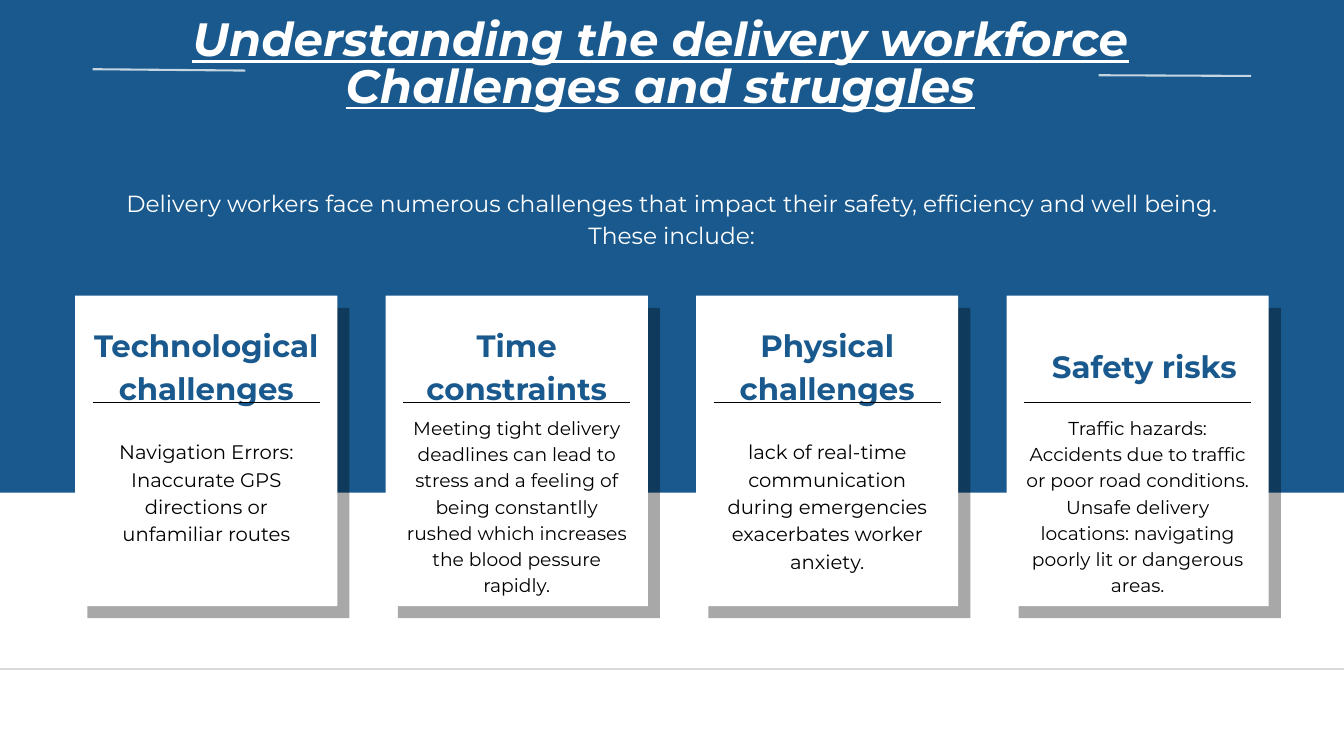
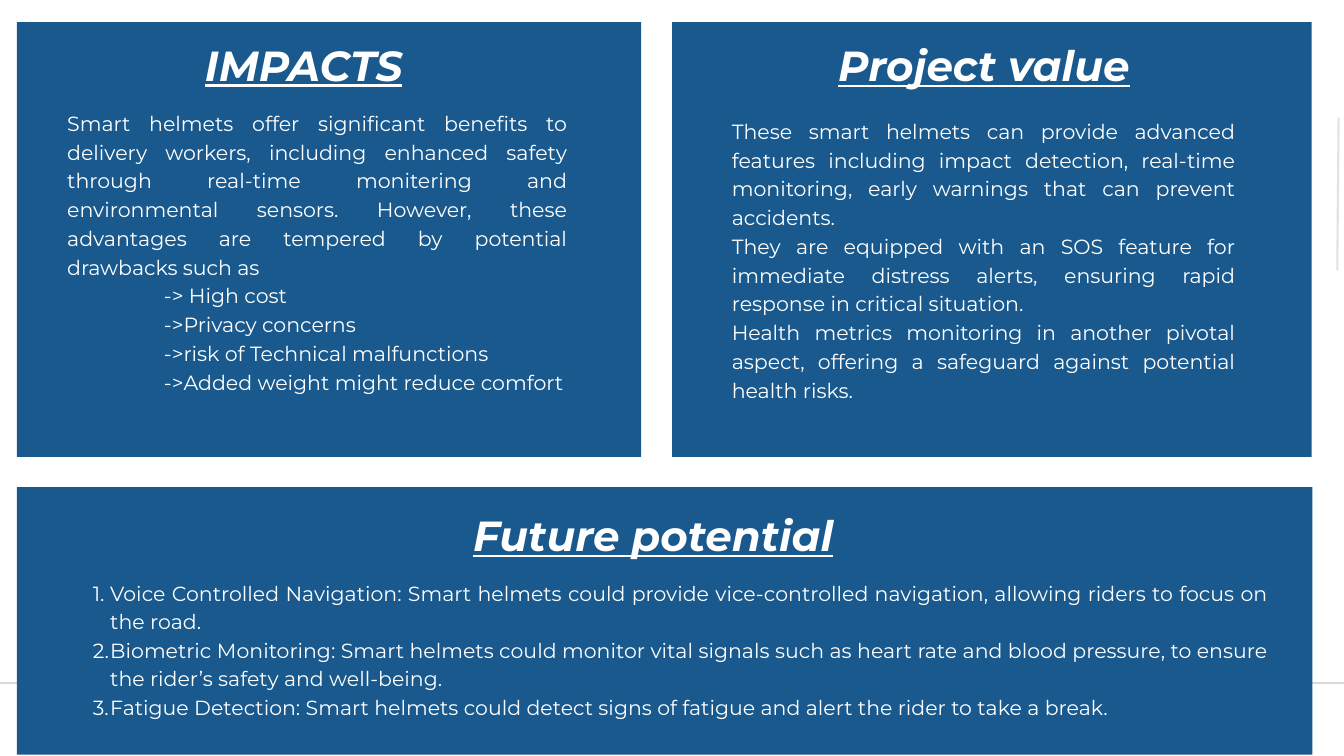
"""Build two slides on delivery workforce challenges and the value of smart helmets."""
from dataclasses import dataclass
from typing import NamedTuple, Optional

from lxml.etree import SubElement
from pptx import Presentation
from pptx.dml.color import RGBColor
from pptx.enum.shapes import MSO_CONNECTOR, MSO_SHAPE
from pptx.enum.text import MSO_ANCHOR, MSO_AUTO_SIZE, PP_ALIGN
from pptx.oxml.ns import qn
from pptx.shapes.base import BaseShape
from pptx.slide import Slide
from pptx.util import Emu, Pt

PX = 9144
SLIDE_WIDTH, SLIDE_HEIGHT = 2000, 1125
FONT = "Montserrat"
COLORS = {"blue": "19598D", "white": "FFFFFF", "black": "000000", "rule": "D9D9D9"}
FRAME_FORMAT = {
    "word_wrap": True,
    "auto_size": MSO_AUTO_SIZE.NONE,
    "vertical_anchor": MSO_ANCHOR.TOP,
    "margin_left": 0,
    "margin_top": 0,
    "margin_right": 0,
    "margin_bottom": 0,
}


class Box(NamedTuple):
    left: int
    top: int
    width: int
    height: int


class Line(NamedTuple):
    text: str
    margin: int = 0
    indent: int = 0
    numbered: bool = False
    align: Optional[PP_ALIGN] = None


@dataclass(frozen=True)
class TextStyle:
    size: float
    color: str = "white"
    align: PP_ALIGN = PP_ALIGN.CENTER
    emphasis: bool = False
    bold: bool = False
    leading: float = 1.4


@dataclass(frozen=True)
class Card:
    heading: str
    details: list[str]
    details_size: int
    details_top: int
    heading_left: int = 26
    heading_top: int = 477


@dataclass(frozen=True)
class Panel:
    area: Box
    heading: str
    heading_left: int
    heading_top: int
    heading_idx: int
    body: Box
    body_idx: Optional[int]
    body_size: float
    lines: list[Line]


TITLE = TextStyle(50, emphasis=True, bold=True, leading=1)
INTRO = TextStyle(25)
CARD_HEADING = TextStyle(33, "blue", bold=True)
PANEL_HEADING = TextStyle(45, emphasis=True, bold=True)

CARD_LEFT, CARD_TOP, CARD_PITCH = 112, 440, 462
CARD_WIDTH, CARD_HEIGHT = 390, 462
SHADOW_OFFSET = 18
CARD_INSET, CARD_TEXT_WIDTH = 26, 338
CARD_RULE_Y = 599

CARDS = [
    Card(
        "Technological challenges",
        ["Navigation Errors: Inaccurate GPS directions or unfamiliar routes"],
        21,
        649,
    ),
    Card(
        "Time constraints",
        [
            "Meeting tight delivery deadlines can lead to stress and a feeling of being "
            "constantlly rushed which increases the blood pessure rapidly."
        ],
        20,
        615,
    ),
    Card(
        "Physical challenges",
        ["lack of real-time communication during emergencies exacerbates worker anxiety."],
        21,
        649,
    ),
    Card(
        "Safety risks",
        [
            "Traffic hazards: Accidents due to traffic or poor road conditions.",
            "Unsafe delivery locations: navigating poorly lit or dangerous areas.",
        ],
        20,
        615,
        heading_left=36,
        heading_top=508,
    ),
]

DRAWBACKS = [
    "-> High cost",
    "->Privacy concerns",
    "->risk of Technical malfunctions",
    "->Added weight might reduce comfort",
]
FUTURE_FEATURES = [
    "Voice Controlled Navigation: Smart helmets could provide vice-controlled navigation, "
    "allowing riders to focus on the road.",
    "Biometric Monitoring: Smart helmets could monitor vital signals such as heart rate and "
    "blood pressure, to ensure the rider’s safety and well-being.",
    "Fatigue Detection: Smart helmets could detect signs of fatigue and alert the rider to "
    "take a break.",
]

PANELS = [
    Panel(
        Box(25, 33, 929, 647), "IMPACTS", 112, 46, 0, Box(100, 159, 744, 468), 2, 22,
        [
            Line(
                "Smart helmets offer significant benefits to delivery workers, including "
                "enhanced safety through real-time monitering and environmental sensors. "
                "However, these advantages are tempered by potential drawbacks such as"
            ),
            *(Line(drawback, margin=144, align=PP_ALIGN.LEFT) for drawback in DRAWBACKS),
        ],
    ),
    Panel(
        Box(1000, 33, 952, 647), "Project value", 1124, 47, 1, Box(1089, 171, 749, 425), None, 22,
        [
            Line(
                "These smart helmets can provide advanced features including impact detection, "
                "real-time monitoring, early warnings that can prevent accidents."
            ),
            Line(
                "They are equipped with an SOS feature for immediate distress alerts, ensuring "
                "rapid response in critical situation."
            ),
            Line(
                "Health metrics monitoring in another pivotal aspect, offering a safeguard "
                "against potential health risks."
            ),
        ],
    ),
    Panel(
        Box(25, 725, 1928, 398), "Future potential", 632, 746, 3, Box(112, 858, 1775, 206), 4, 21.9,
        [Line(feature, margin=52, indent=-26, numbered=True) for feature in FUTURE_FEATURES],
    ),
]


def px(length: int) -> Emu:
    """Turn px into EMU."""
    return Emu(length * PX)


def rgb(color: str) -> RGBColor:
    """Look up a named colour."""
    return RGBColor.from_string(COLORS[color])


def set_opacity(shape: BaseShape, percent: int) -> None:
    """Make the shape's own colours partly transparent."""
    for color in shape.element.spPr.iter(qn("a:srgbClr")):
        SubElement(color, qn("a:alpha"), val=str(percent * 1000))


def add_block(slide: Slide, box: Box, color: str, opacity: int = 100) -> None:
    """Draw a plain filled rectangle."""
    block = slide.shapes.add_shape(MSO_SHAPE.RECTANGLE, *map(px, box))
    block.shadow.inherit = False
    block.fill.solid()
    block.fill.fore_color.rgb = rgb(color)
    block.line.fill.background()
    if opacity < 100:
        set_opacity(block, opacity)


def add_rule(
    slide: Slide, start: tuple[int, int], end: tuple[int, int],
    color: str, width: float = 2.25, opacity: int = 100,
) -> None:
    """Draw a straight line without a shadow."""
    rule = slide.shapes.add_connector(MSO_CONNECTOR.STRAIGHT, *map(px, (*start, *end)))
    rule.line.color.rgb = rgb(color)
    rule.line.width = Pt(width)
    SubElement(rule.element.spPr, qn("a:effectLst"))
    if opacity < 100:
        set_opacity(rule, opacity)


def add_footer_rule(slide: Slide, y: int) -> None:
    """Draw the grey line across the foot of a slide."""
    add_rule(slide, (0, y), (SLIDE_WIDTH, y), "rule")


def write(
    slide: Slide, box: Box, lines: list[Line], style: TextStyle, idx: Optional[int] = None
) -> None:
    """Write lines into the numbered placeholder, or into a new text box, on top."""
    if idx is None:
        holder = slide.shapes.add_textbox(*map(px, box))
    else:
        holder = next(p for p in slide.placeholders if p.placeholder_format.idx == idx)
        holder.element.getparent().append(holder.element)
    for side, length in box._asdict().items():
        setattr(holder, side, px(length))
    frame = holder.text_frame
    for name, value in FRAME_FORMAT.items():
        setattr(frame, name, value)
    paragraph_format = {
        "line_spacing": Pt(style.size * style.leading),
        "space_before": Pt(0),
        "space_after": Pt(0),
    }
    font_format = {
        "name": FONT,
        "size": Pt(style.size),
        "bold": style.bold,
        "italic": style.emphasis,
        "underline": style.emphasis,
    }
    for number, line in enumerate(lines):
        paragraph = frame.add_paragraph() if number else frame.paragraphs[0]
        paragraph.alignment = line.align or style.align
        for name, value in paragraph_format.items():
            setattr(paragraph, name, value)
        properties = paragraph._p.get_or_add_pPr()
        properties.set("marL", str(px(line.margin)))
        properties.set("indent", str(px(line.indent)))
        if line.numbered:
            SubElement(properties, qn("a:buFont"), typeface=FONT)
            SubElement(properties, qn("a:buAutoNum"), type="arabicPeriod")
        else:
            SubElement(properties, qn("a:buNone"))
        run = paragraph.add_run()
        run.text = line.text
        for name, value in font_format.items():
            setattr(run.font, name, value)
        run.font.color.rgb = rgb(style.color)


def add_card(slide: Slide, left: int, card: Card) -> None:
    """Draw a white card with its shadow, heading, rule and details."""
    shadow = Box(left + SHADOW_OFFSET, CARD_TOP + SHADOW_OFFSET, CARD_WIDTH, CARD_HEIGHT)
    add_block(slide, shadow, "black", 34)
    add_block(slide, Box(left, CARD_TOP, CARD_WIDTH, CARD_HEIGHT), "white")
    text_left = left + CARD_INSET
    heading_box = Box(left + card.heading_left, card.heading_top, CARD_TEXT_WIDTH, 125)
    write(slide, heading_box, [Line(card.heading)], CARD_HEADING)
    details_box = Box(text_left, card.details_top, CARD_TEXT_WIDTH, 268)
    details_style = TextStyle(card.details_size, "black")
    write(slide, details_box, [Line(text) for text in card.details], details_style)
    rule_end = (text_left + CARD_TEXT_WIDTH, CARD_RULE_Y)
    add_rule(slide, (text_left, CARD_RULE_Y), rule_end, "black", 1.5)


def add_panel(slide: Slide, panel: Panel) -> None:
    """Draw a blue panel with its heading and body."""
    add_block(slide, panel.area, "blue")
    heading_box = Box(panel.heading_left, panel.heading_top, 680, 83)
    write(slide, heading_box, [Line(panel.heading)], PANEL_HEADING, panel.heading_idx)
    body_style = TextStyle(panel.body_size, align=PP_ALIGN.JUSTIFY)
    write(slide, panel.body, panel.lines, body_style, panel.body_idx)


def build_challenges(slide: Slide) -> None:
    """Fill the slide on workforce challenges."""
    add_block(slide, Box(0, 0, SLIDE_WIDTH, 733), "blue")
    title_lines = [Line("Understanding the delivery workforce"), Line("Challenges and struggles")]
    write(slide, Box(112, 29, 1742, 141), title_lines, TITLE, 0)
    intro = Line(
        "Delivery workers face numerous challenges that impact their safety, efficiency and "
        "well being. These include:"
    )
    write(slide, Box(164, 274, 1671, 93), [intro], INTRO, 1)
    for column, card in enumerate(CARDS):
        add_card(slide, CARD_LEFT + column * CARD_PITCH, card)
    add_rule(slide, (1635, 112), (1862, 113), "white", opacity=75)
    add_rule(slide, (365, 105), (138, 103), "white", opacity=75)
    add_footer_rule(slide, 995)


def build_outlook(slide: Slide) -> None:
    """Fill the slide on impacts, value and future potential."""
    add_footer_rule(slide, 1016)
    add_rule(slide, (1990, 402), (1992, 175), "rule", opacity=75)
    for panel in PANELS:
        add_panel(slide, panel)


def main() -> None:
    """Build and save the presentation."""
    deck = Presentation()
    deck.slide_width, deck.slide_height = px(SLIDE_WIDTH), px(SLIDE_HEIGHT)
    build_challenges(deck.slides.add_slide(deck.slide_layouts[1]))
    build_outlook(deck.slides.add_slide(deck.slide_layouts[4]))
    deck.save("out.pptx")


if __name__ == "__main__":
    main()
